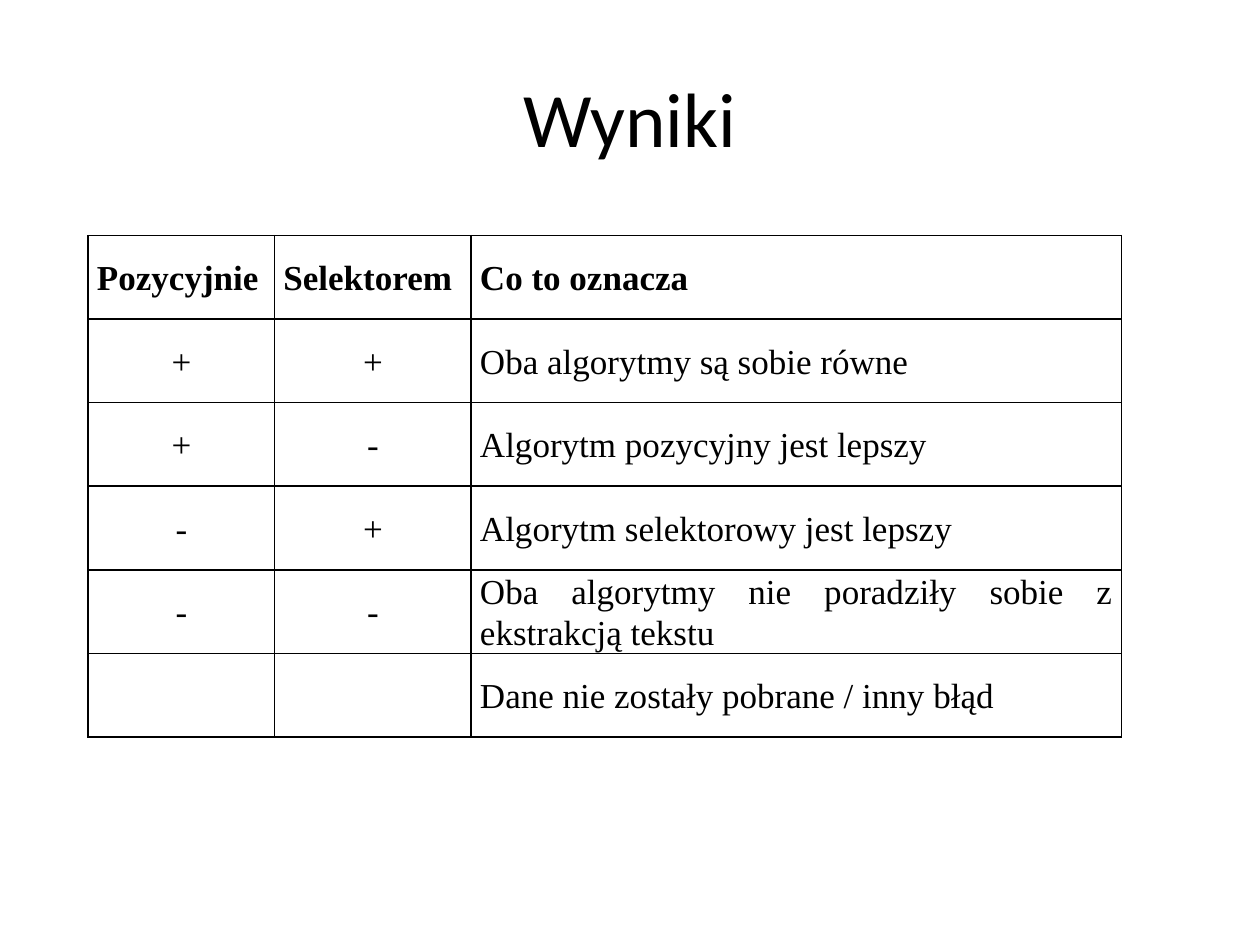
from dataclasses import dataclass

from lxml.etree import SubElement
from pptx import Presentation
from pptx.dml.color import RGBColor
from pptx.enum.text import MSO_ANCHOR, PP_ALIGN
from pptx.oxml.ns import qn
from pptx.util import Inches, Pt


@dataclass(frozen=True)
class Theme:
    ink: str = "000000"
    title_font: str = "Calibri"
    table_font: str = "Times New Roman"
    title_size: int = 44
    table_size: int = 20
    border: float = 1


def write(tf, text, font, size, color, bold=False, align=PP_ALIGN.CENTER, spacing=None):
    """Put formatted text in the first paragraph of a text frame."""
    p = tf.paragraphs[0]
    p.alignment = align
    p.line_spacing = spacing
    r = p.add_run()
    r.text = text
    r.font.name = font
    r.font.size = Pt(size)
    r.font.bold = bold
    r.font.color.rgb = RGBColor.from_string(color)


class SlideBuilder:
    def __init__(self, prs, theme):
        self.theme = theme
        self.s = prs.slides.add_slide(prs.slide_layouts[5])

    def title(self, text, left, top, width, height):
        sp = self.s.shapes.title
        sp.left, sp.top = Inches(left), Inches(top)
        sp.width, sp.height = Inches(width), Inches(height)
        tf = sp.text_frame
        tf.vertical_anchor = MSO_ANCHOR.MIDDLE
        write(tf, text, self.theme.title_font, self.theme.title_size, self.theme.ink)

    def borders(self, cell):
        tc_pr = cell._tc.get_or_add_tcPr()
        for side in ("lnL", "lnR", "lnT", "lnB"):
            ln = SubElement(tc_pr, qn(f"a:{side}"), w=str(Pt(self.theme.border)))
            fill = SubElement(ln, qn("a:solidFill"))
            SubElement(fill, qn("a:srgbClr"), val=self.theme.ink)

    def cell(self, cell, text, bold, align):
        cell.margin_left = cell.margin_right = Inches(0.07)
        cell.margin_top = cell.margin_bottom = 0
        cell.vertical_anchor = MSO_ANCHOR.MIDDLE
        self.borders(cell)
        cell.fill.background()
        if text:
            write(cell.text_frame, text, self.theme.table_font, self.theme.table_size,
                  self.theme.ink, bold=bold, align=align, spacing=1.07)

    def table(self, rows, left, top, col_widths, height):
        frame = self.s.shapes.add_table(len(rows), len(col_widths), Inches(left), Inches(top),
                                        Inches(sum(col_widths)), Inches(height))
        table = frame.table
        table.first_row = table.horz_banding = False
        for column, width in zip(table.columns, col_widths):
            column.width = Inches(width)
        for i, row in enumerate(rows):
            for j, text in enumerate(row):
                # Signs are centred; headings and meanings are justified
                is_sign = i > 0 and j < 2
                align = PP_ALIGN.CENTER if is_sign else PP_ALIGN.JUSTIFY
                self.cell(table.cell(i, j), text, bold=i == 0, align=align)


RESULTS = [
    ("Pozycyjnie", "Selektorem", "Co to oznacza"),
    ("+", "+", "Oba algorytmy są sobie równe"),
    ("+", "-", "Algorytm pozycyjny jest lepszy"),
    ("-", "+", "Algorytm selektorowy jest lepszy"),
    ("-", "-", "Oba algorytmy nie poradziły sobie z ekstrakcją tekstu"),
    ("", "", "Dane nie zostały pobrane / inny błąd"),
]


def main():
    prs = Presentation()
    prs.slide_width, prs.slide_height = Inches(10), Inches(7.5)
    slide = SlideBuilder(prs, Theme())

    # Heading
    slide.title("Wyniki", 0.5, 0.3, 9, 1.25)

    # Table of outcomes
    slide.table(RESULTS, 0.7, 1.87, (1.48, 1.56, 5.16), height=3.98)

    prs.save("out.pptx")


if __name__ == "__main__":
    main()
